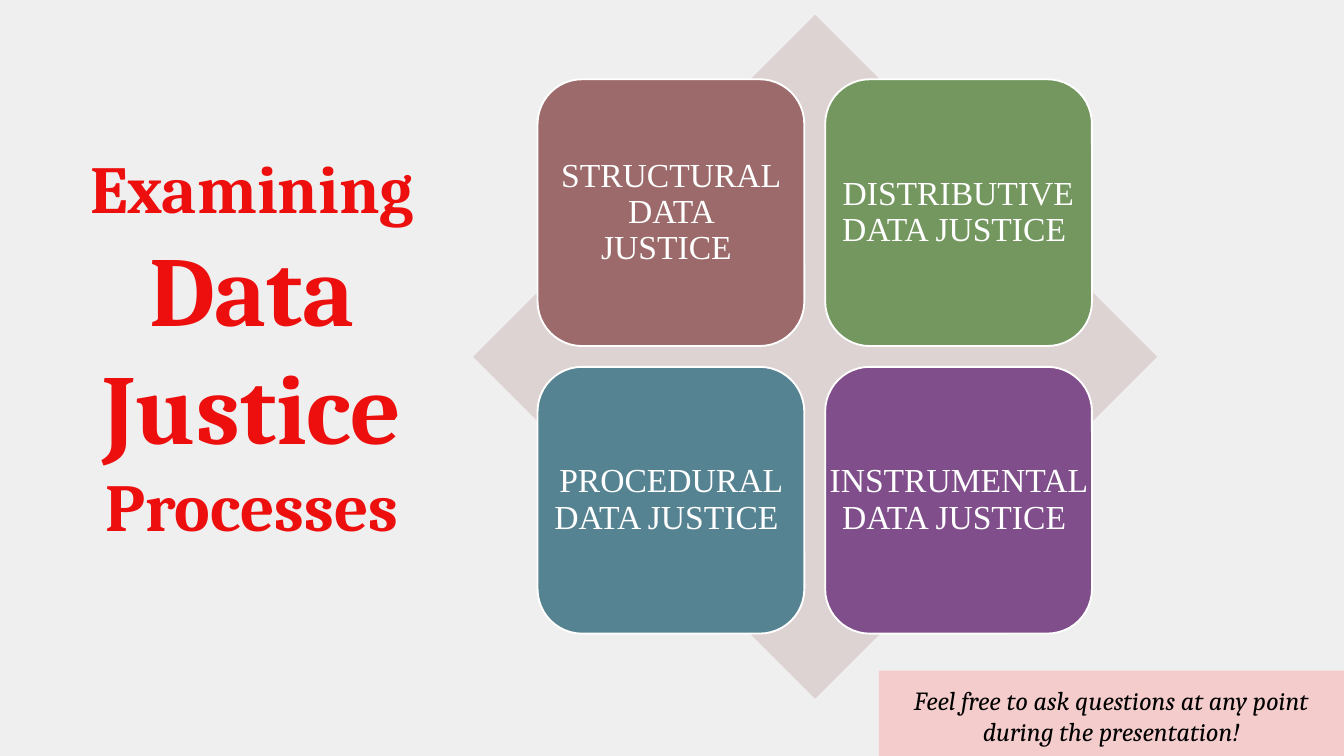
from pptx import Presentation
from pptx.dml.color import RGBColor
from pptx.enum.shapes import MSO_SHAPE
from pptx.enum.text import MSO_ANCHOR, MSO_AUTO_SIZE, PP_ALIGN
from pptx.util import Pt

PX = 4572  # 200 px to the inch
TITLE_FONT, TILE_FONT = "Cambria", "Times New Roman"
WHITE = "FFFFFF"

# label (ending in a no-break space), fill, width of the label box
TILES = [
    ("STRUCTURAL DATA JUSTICE ", "9C6A6A", 358),
    ("DISTRIBUTIVE DATA JUSTICE ", "74975F", 398),
    ("PROCEDURAL DATA JUSTICE ", "568391", 398),
    ("INSTRUMENTAL DATA JUSTICE ", "804E8B", 436),
]


def px(*lengths):
    return [length * PX for length in lengths]


def color(value):
    return RGBColor.from_string(value)


def add_block(slide, kind, box, fill, line=None):
    shape = slide.shapes.add_shape(kind, *px(*box))
    shape.shadow.inherit = False
    shape.fill.solid()
    shape.fill.fore_color.rgb = color(fill)
    if line:
        shape.line.color.rgb = color(line)
        shape.line.width = Pt(1)
    else:
        shape.line.fill.background()
    return shape


def set_frame(text_frame, inset, anchor):
    text_frame.word_wrap = True
    text_frame.auto_size = MSO_AUTO_SIZE.NONE
    text_frame.vertical_anchor = anchor
    text_frame.margin_left = text_frame.margin_right = inset * PX
    text_frame.margin_top = text_frame.margin_bottom = inset * PX


def write(text_frame, parts, font_name, text_color, bold=False, italic=False):
    """Write (text, size) parts as the runs of one centred paragraph."""
    paragraph = text_frame.paragraphs[0]
    paragraph.alignment = PP_ALIGN.CENTER
    for text, size in parts:
        run = paragraph.add_run()
        run.text = text
        run.font.name = font_name
        run.font.size = Pt(size)
        run.font.bold = bold
        run.font.italic = italic
        run.font.color.rgb = color(text_color)
    return paragraph


def place_title(slide, box):
    title = slide.shapes.title
    title.left, title.top, title.width, title.height = px(*box)
    set_frame(title.text_frame, 20, MSO_ANCHOR.TOP)
    parts = [("Examining ", 36), ("Data Justice ", 53), ("Processes", 36)]
    paragraph = write(title.text_frame, parts, TITLE_FONT, "ED0E0E", bold=True)
    paragraph.line_spacing = 1.0
    paragraph.space_before = Pt(0)


def add_tile(slide, box, label, fill, label_width):
    left, top, width, height = box
    tile = add_block(slide, MSO_SHAPE.ROUNDED_RECTANGLE, box, fill, WHITE)
    tile.adjustments[0] = 0.167
    label_left = left + (width - label_width) // 2
    caption = slide.shapes.add_textbox(
        *px(label_left, top + 20, label_width, height - 40))
    set_frame(caption.text_frame, 14, MSO_ANCHOR.MIDDLE)
    paragraph = write(caption.text_frame, [(label, 18)], TILE_FONT, WHITE)
    paragraph.line_spacing = 0.9


def add_matrix(slide, box):
    """Draw a diamond with a two-by-two grid of tiles centred on it."""
    left, top, width, _ = box
    add_block(slide, MSO_SHAPE.DIAMOND, box, "DED3D3")
    side, pitch = 397, 428
    margin = (width - side - pitch) // 2
    for index, (label, fill, label_width) in enumerate(TILES):
        row, column = divmod(index, 2)
        tile_box = (left + margin + column * pitch,
                    top + margin + row * pitch, side, side)
        add_tile(slide, tile_box, label, fill, label_width)


def add_note(slide, box):
    note = add_block(slide, MSO_SHAPE.RECTANGLE, box, "F4CCCC")
    set_frame(note.text_frame, 20, MSO_ANCHOR.TOP)
    text = "Feel free to ask questions at any point during the presentation!"
    write(note.text_frame, [(text, 14)], TITLE_FONT, "000000", italic=True)


def main():
    presentation = Presentation()
    presentation.slide_width, presentation.slide_height = px(2000, 1125)
    slide = presentation.slides.add_slide(presentation.slide_layouts[5])
    slide.background.fill.solid()
    slide.background.fill.fore_color.rgb = color("EFEFEF")
    add_note(slide, (1308, 998, 692, 127))
    place_title(slide, (66, 198, 618, 666))
    add_matrix(slide, (704, 22, 1018, 1018))
    presentation.save("out.pptx")


if __name__ == "__main__":
    main()
